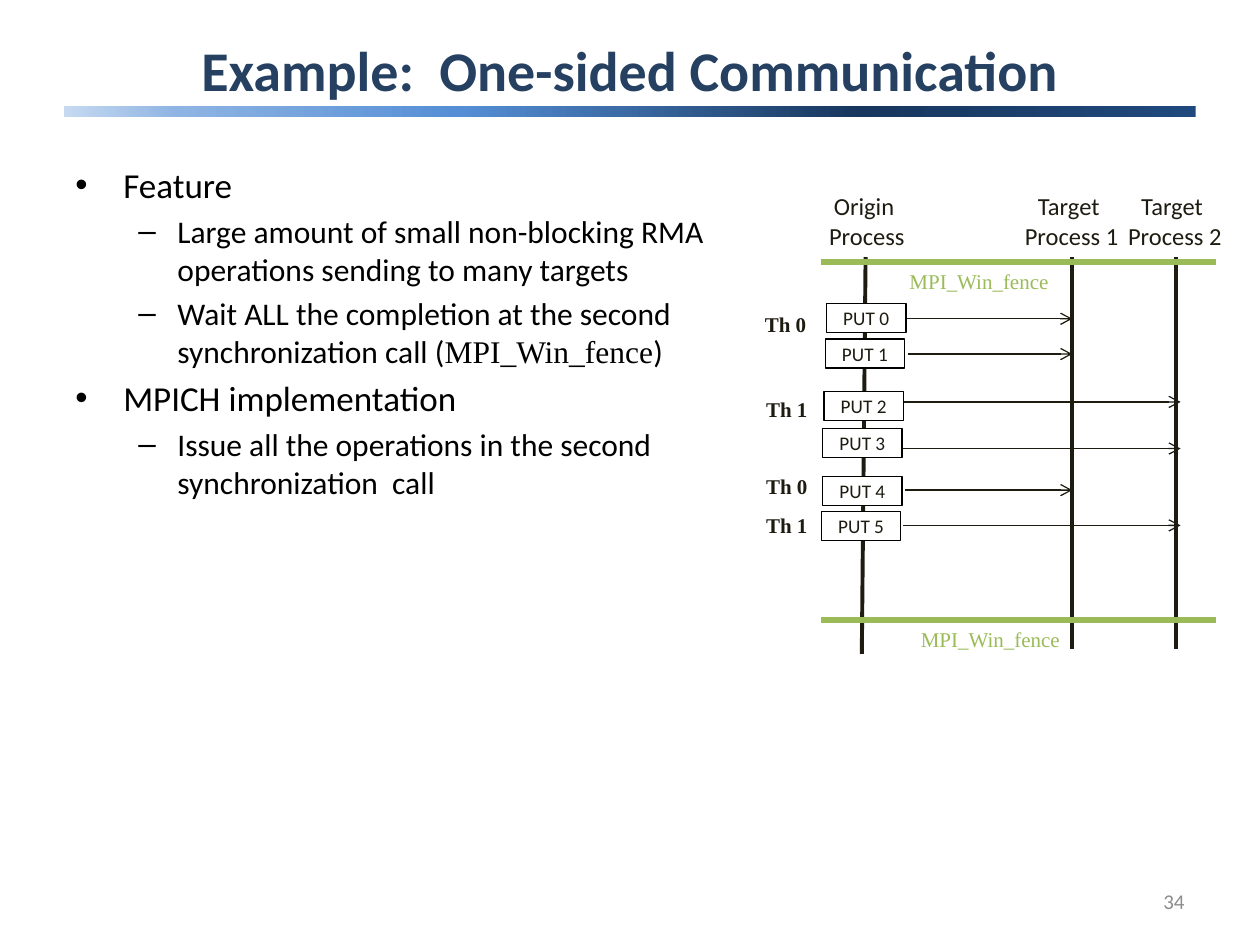
from lxml import etree
from pptx import Presentation
from pptx import util as u
from pptx.dml import color
from pptx.enum import shapes, text
from pptx.oxml import ns

SANS, SERIF = "Calibri", "Times New Roman"
INK, GREEN = "1E1C11", "9BBB59"
MID, TOP = text.MSO_ANCHOR.MIDDLE, text.MSO_ANCHOR.TOP
LEFT, MIDST, RIGHT = text.PP_ALIGN.LEFT, text.PP_ALIGN.CENTER, text.PP_ALIGN.RIGHT

TITLE = "Example:  One-sided Communication"
STOPS = [(0, "1F497D"), (30, "17375E"), (65, "558ED5"), (90, "8EB4E3"), (100, "C6D9F1")]
BODY = [
    (0, [("Feature", SANS)]),
    (1, [("Large amount of small non-blocking RMA operations sending to many targets", SANS)]),
    (1, [("Wait ALL the completion at the second synchronization call (", SANS),
         ("MPI_Win_fence", SERIF), (")", SANS)]),
    (0, [("MPICH implementation", SANS)]),
    (1, [("Issue all the operations in the second  synchronization  call", SANS)]),
]
LEVELS = [
    {"mark": "•", "size": 20, "left": 0.38, "hang": 0.38},
    {"mark": "–", "size": 18, "left": 0.81, "hang": 0.31},
]
HEADS = [
    (["Origin ", "Process"], 6.11, 1.54),
    (["Target ", "Process 1"], 7.64, 1.73),
    (["Target ", "Process 2"], 8.46, 1.73),
]
LIVES = [(6.87, 6.84, 5.19), (8.51, 8.51, 5.15), (9.33, 9.33, 5.15)]
PUTS = [
    (6.56, 2.41, 7.19, 2.53, 8.51),
    (6.55, 2.69, 7.21, 2.81, 8.51),
    (6.54, 3.11, 7.17, 3.19, 9.37),
    (6.53, 3.40, 7.17, 3.56, 9.37),
    (6.53, 3.78, 7.18, 3.89, 8.51),
    (6.52, 4.06, 7.17, 4.17, 9.37),
]
THREADS = [("Th 0", 5.92, 2.42), ("Th 1", 5.93, 3.10), ("Th 0", 5.93, 3.71), ("Th 1", 5.93, 4.02)]
FENCES = [(7.12, 2.08), (7.21, 4.92)]

deck = Presentation()
deck.slide_width, deck.slide_height = u.Inches(10), u.Inches(7.5)
slide = deck.slides.add_slide(deck.slide_layouts[6])
items = slide.shapes


def rgb(code):
    return color.RGBColor.from_string(code)


def add(node, tag, **attrs):
    child = etree.SubElement(node, ns.qn(tag))
    for key, val in attrs.items():
        child.set(key, str(val))
    return child


def style(font, size, tint, face=SANS, bold=False):
    looks = {"size": u.Pt(size), "name": face, "bold": bold}
    for key, val in looks.items():
        setattr(font, key, val)
    font.color.rgb = rgb(tint)


def write(shape, lines, size, tint, face=SANS, bold=False, align=MIDST, anchor=TOP):
    frame = shape.text_frame
    looks = {"word_wrap": True, "vertical_anchor": anchor}
    for key, val in looks.items():
        setattr(frame, key, val)
    for i, line in enumerate(lines):
        para = frame.add_paragraph() if i else frame.paragraphs[0]
        para.alignment = align
        run = para.add_run()
        run.text = line
        style(run.font, size, tint, face, bold)


def label(lines, x, y, w, h, size, tint, **looks):
    write(items.add_textbox(*map(u.Inches, (x, y, w, h))), lines, size, tint, **looks)


def block(kind, x, y, w, h):
    shape = items.add_shape(kind, *map(u.Inches, (x, y, w, h)))
    shape.shadow.inherit = False
    return shape


def line(x1, y1, x2, y2, tint, width, arrow=False):
    link = items.add_connector(shapes.MSO_CONNECTOR.STRAIGHT, *map(u.Inches, (x1, y1, x2, y2)))
    link.line.color.rgb = rgb(tint)
    link.line.width = u.Pt(width)
    if arrow:
        add(link.line._get_or_add_ln(), "a:tailEnd", type="arrow")
    add(link._element.spPr, "a:effectLst")


def banner():
    bar = block(shapes.MSO_SHAPE.RECTANGLE, 0.51, 0.84, 8.98, 0.09)
    bar.line.fill.background()
    bar.fill.gradient()
    bar.fill.gradient_angle = 180
    stops = bar._element.spPr.find(".//" + ns.qn("a:gsLst"))
    for old in list(stops):
        stops.remove(old)
    for spot, tint in STOPS:
        add(add(stops, "a:gs", pos=spot * 1000), "a:srgbClr", val=tint)


def points():
    frame = items.add_textbox(*map(u.Inches, (0.5, 1.25, 5.42, 5.67))).text_frame
    frame.word_wrap = True
    for i, (depth, runs) in enumerate(BODY):
        form = LEVELS[depth]
        para = frame.add_paragraph() if i else frame.paragraphs[0]
        para.level = depth
        para.space_before = u.Pt(form["size"] * 0.2 if i else 0)
        props = para._p.get_or_add_pPr()
        props.set("marL", str(u.Inches(form["left"])))
        props.set("indent", str(-u.Inches(form["hang"])))
        add(props, "a:buFont", typeface="Arial")
        add(props, "a:buChar", char=form["mark"])
        for words, face in runs:
            run = para.add_run()
            run.text = words
            style(run.font, form["size"], "000000", face)


def chart():
    for x1, x2, end in LIVES:
        line(x1, 2.04, x2, end, INK, 2.25)
    for lines, x, w in HEADS:
        label(lines, x, 1.47, w, 0.57, 14, INK)
    for i, (x, y, start, level, end) in enumerate(PUTS):
        line(start, level, end, level, INK, 0.75, arrow=True)
        box = block(shapes.MSO_SHAPE.FLOWCHART_PROCESS, x, y, 0.63, 0.23)
        box.fill.solid()
        box.fill.fore_color.rgb = rgb("FFFFFF")
        box.line.color.rgb = rgb("000000")
        box.line.width = u.Pt(0.75)
        write(box, [f"PUT {i}"], 11, INK, anchor=MID)
    for x, y in FENCES:
        line(6.52, y, 9.65, y, GREEN, 3)
        label(["MPI_Win_fence"], x, y, 1.34, 0.3, 12, GREEN, face=SERIF, align=LEFT)
    for name, x, y in THREADS:
        label([name], x, y, 0.63, 0.3, 12, INK, face=SERIF, bold=True)


banner()
label([TITLE], 0.5, 0.26, 9, 0.58, 32, "254061", bold=True, anchor=MID)
points()
chart()
label(["34"], 7.17, 6.95, 2.33, 0.4, 12, "8C8C8C", align=RIGHT, anchor=MID)
deck.save("out.pptx")
